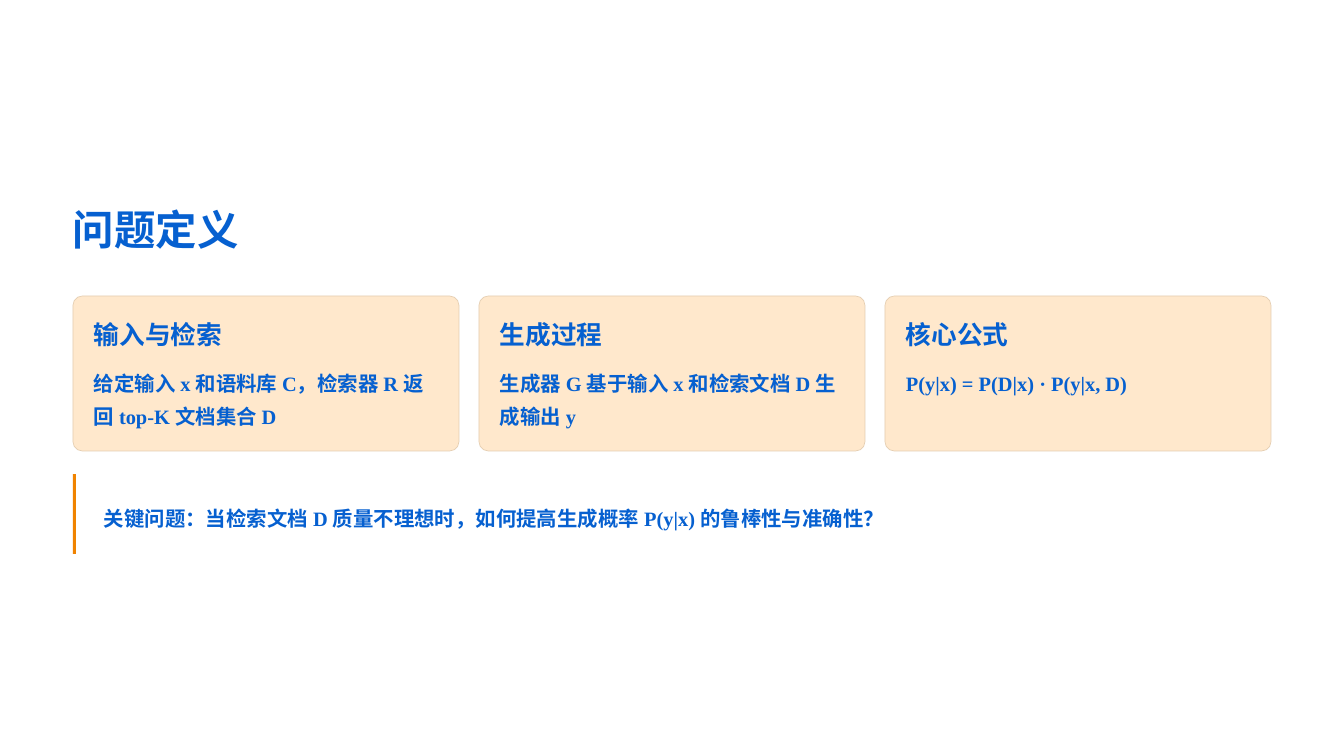
from lxml.etree import SubElement
from pptx import Presentation
from pptx.dml.color import RGBColor
from pptx.enum.shapes import MSO_SHAPE as SHAPE
from pptx.oxml.ns import qn
from pptx.util import Emu, Pt

BLUE = RGBColor(0x06, 0x60, 0xD0)
PEACH = RGBColor(0xFF, 0xE8, 0xCC)
TAN = RGBColor(0xE5, 0xCE, 0xB2)
ORANGE = RGBColor(0xF0, 0x83, 0x00)
WHITE = RGBColor(0xFF, 0xFF, 0xFF)
SANS = "Noto Sans CJK SC"
SERIF = "Times New Roman"


def px(*lengths):
    return [Emu(round(length * 914400 / 84)) for length in lengths]


def add_text(box, text, size, spacing, font_name, wrap=False):
    frame = slide.shapes.add_textbox(*px(*box)).text_frame
    for side in ("left", "top", "right", "bottom"):
        setattr(frame, f"margin_{side}", 0)
    frame.word_wrap = wrap
    paragraph = frame.paragraphs[0]
    paragraph.line_spacing = Pt(spacing)
    run = paragraph.add_run()
    run.text = text
    style = {"name": font_name, "size": Pt(size), "bold": True}
    for key, value in style.items():
        setattr(run.font, key, value)
    run.font.color.rgb = BLUE
    SubElement(run.font._element, qn("a:ea"), typeface=SANS)


deck = Presentation()
deck.slide_width, deck.slide_height = px(1344, 756)
slide = deck.slides.add_slide(deck.slide_layouts[6])
slide.background.fill.solid()
slide.background.fill.fore_color.rgb = WHITE

LEFT, CARD_PITCH, PADDING = 73, 406, 21

add_text((LEFT, 202, 417, 52), "问题定义", 35.5, 44.5, SANS)

cards = [
    ("输入与检索", "给定输入 x 和语料库 C，检索器 R 返回 top-K 文档集合 D", True),
    ("生成过程", "生成器 G 基于输入 x 和检索文档 D 生成输出 y", True),
    ("核心公式", "P(y|x) = P(D|x) · P(y|x, D)", False),
]
for index, (heading, body, wraps) in enumerate(cards):
    card_left = LEFT + index * CARD_PITCH
    card = slide.shapes.add_shape(
        SHAPE.ROUNDED_RECTANGLE, *px(card_left, 296, 386, 155))
    card.adjustments[0] = 0.06
    card.shadow.inherit = False
    card.fill.solid()
    card.fill.fore_color.rgb = PEACH
    card.line.color.rgb = TAN
    card.line.width = Pt(0.6)
    text_left = card_left + PADDING
    add_text((text_left, 318, 260, 33), heading, 22, 27.5, SANS)
    add_text((text_left, 362, 343, 66), body, 17.5, 28.5, SERIF, wraps)

add_text((104, 497, 1167, 34),
         "关键问题：当检索文档 D 质量不理想时，如何提高生成概率 P(y|x) 的鲁棒性与准确性？",
         17.5, 28.5, SERIF)

accent = slide.shapes.add_shape(SHAPE.RECTANGLE, *px(LEFT, 474, 3, 80))
accent.shadow.inherit = False
accent.fill.solid()
accent.fill.fore_color.rgb = ORANGE
accent.line.fill.background()

deck.save("out.pptx")
